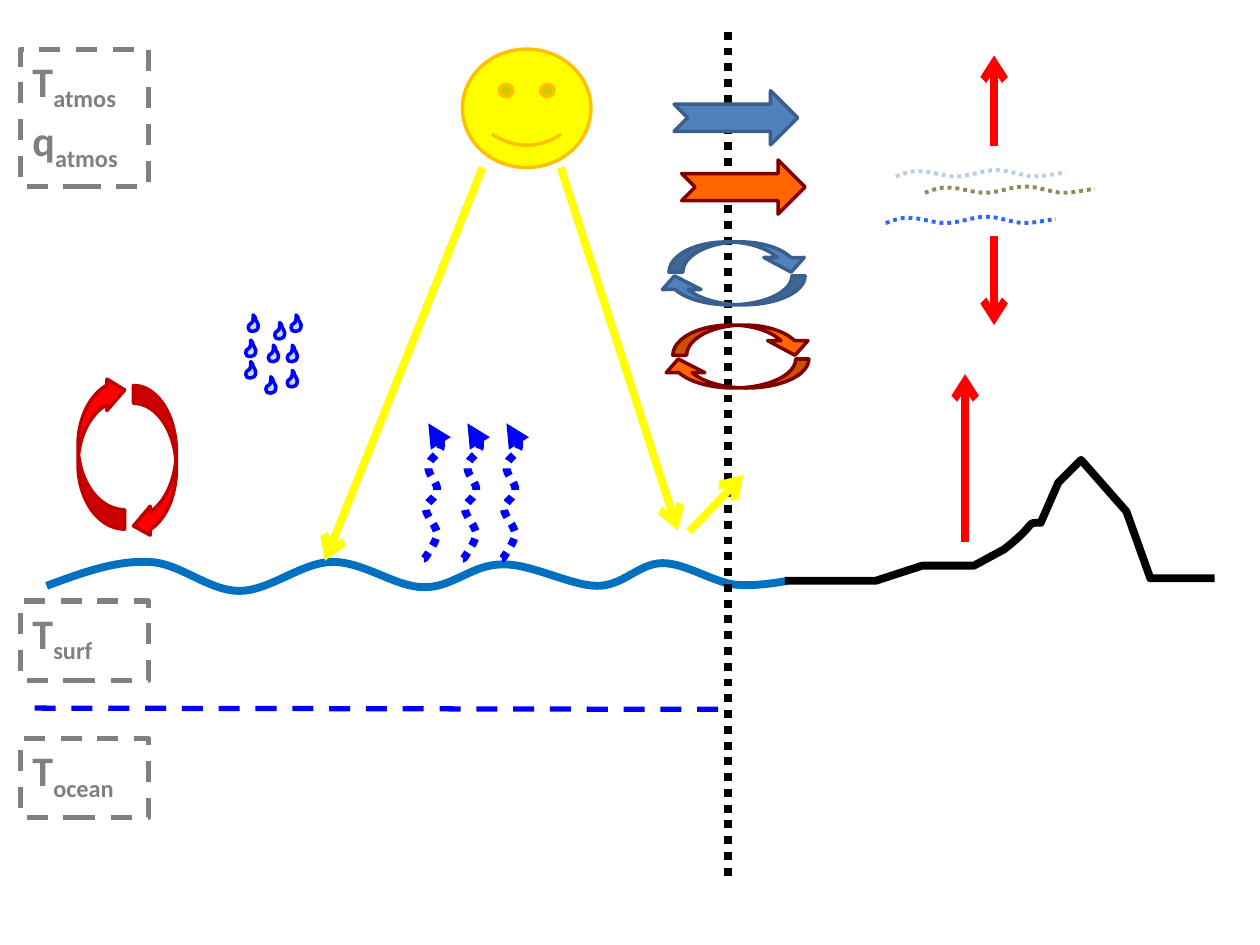
from lxml.etree import SubElement
from pptx import Presentation
from pptx.dml.color import RGBColor
from pptx.enum.shapes import MSO_CONNECTOR, MSO_SHAPE
from pptx.oxml.ns import qn
from pptx.util import Cm, Pt

BLUE, YELLOW, RED, GREY, BLACK = "0000FF", "FFFF00", "FF0000", "808080", "000000"
DROP_FILL = "C6D9F1"

# Outlines, in inches: a start point, then lines (2 numbers) or curves (6 numbers).
OCEAN = [(0.37, 4.65), (0.64, 4.55, 0.91, 4.45, 1.17, 4.46),
         (1.42, 4.46, 1.65, 4.69, 1.9, 4.69), (2.14, 4.69, 2.4, 4.46, 2.64, 4.46),
         (2.89, 4.46, 3.14, 4.66, 3.36, 4.66), (3.58, 4.67, 3.75, 4.48, 3.98, 4.48),
         (4.21, 4.47, 4.53, 4.65, 4.74, 4.65), (4.95, 4.65, 5.07, 4.47, 5.26, 4.47),
         (5.44, 4.47, 5.66, 4.62, 5.83, 4.64), (6, 4.66, 6.25, 4.61, 6.25, 4.61)]
LAND = [(6.23, 4.61), (6.95, 4.61), (7.32, 4.49), (7.73, 4.49), (7.97, 4.36),
        (8.25, 4.14, 8.13, 4.15, 8.26, 4.15), (8.4, 3.83), (8.58, 3.65),
        (8.94, 4.06), (9.13, 4.59), (9.64, 4.59)]
DROP = [(0.04, 0), (0.05, 0.01, 0.06, 0.02, 0.06, 0.04),
        (0.06, 0.05, 0.08, 0.06, 0.08, 0.08), (0.08, 0.12, 0.06, 0.13, 0.04, 0.13),
        (0.01, 0.13, 0, 0.12, 0, 0.1), (0, 0.06, 0.04, 0.08, 0.04, 0.03), (0.04, 0)]
VAPOUR = [(0.04, 0), (0.09, 0.06, 0.14, 0.12, 0.14, 0.18),
          (0.14, 0.24, 0.04, 0.28, 0.04, 0.34), (0.03, 0.4, 0.12, 0.48, 0.11, 0.53),
          (0.11, 0.59, 0.02, 0.62, 0.02, 0.68), (0.02, 0.73, 0.11, 0.82, 0.11, 0.88),
          (0.1, 0.95, 0.03, 1.04, 0.02, 1.06), (0, 1.09, 0, 1.07, 0.01, 1.05)]
HAZE = [(0, 0.05), (0.06, 0.03, 0.12, 0, 0.2, 0.01), (0.28, 0.01, 0.38, 0.05, 0.48, 0.05),
        (0.58, 0.05, 0.69, 0, 0.8, 0), (0.9, 0, 1.01, 0.05, 1.1, 0.05),
        (1.19, 0.05, 1.31, 0.02, 1.35, 0.02)]

DROP_SPOTS = [(2.18, 2.56), (2.28, 2.74), (2.31, 2.5), (2.28, 2.94), (2.13, 2.74),
              (2.11, 2.99), (1.97, 2.5), (1.95, 2.7), (1.95, 2.87)]
VAPOUR_SPOTS = [(3.36, 3.36), (3.67, 3.36), (3.98, 3.36)]
HAZE_SPOTS = [(7.11, 1.35, "B9CDE5"), (7.34, 1.48, "948A54"), (7.03, 1.72, "3366FF")]

# Start, end, colour, width, dash, arrowhead
BORDER = ((5.78, 6.95), (5.78, 0.24), BLACK, 4.5, "sysDot", None)
LINES = [((5.7, 5.63), (0.16, 5.62), BLUE, 3, "dash", None),
         ((3.83, 1.33), (2.58, 4.45), YELLOW, 4.5, None, "arrow"),
         ((4.45, 1.33), (5.38, 4.21), YELLOW, 4.5, None, "arrow"),
         ((5.47, 4.22), (5.9, 3.77), YELLOW, 4.5, None, "arrow"),
         ((7.66, 4.3), (7.66, 2.97), RED, 4.5, None, "arrow"),
         ((7.89, 1.87), (7.89, 2.58), RED, 4.5, None, "arrow"),
         ((7.89, 1.16), (7.89, 0.44), RED, 4.5, None, "arrow")]

# Arrow position, ring offset, fill, outline
TRANSPORTS = [((5.35, 0.72), (0, 0), "4F81BD", "3A5F8C"),
              ((5.41, 1.27), (0.03, 0.66), "FF6600", "800000")]

# Frame top, frame height, then (label top, symbol, subscript)
STATES = [(0.39, 1.09, [(0.39, "T", "atmos"), (0.86, "q", "atmos")]),
          (4.77, 0.63, [(4.77, "T", "surf")]),
          (5.86, 0.63, [(5.86, "T", "ocean")])]


def inch(value):
    """Turn inches into a length."""
    return Cm(value * 2.54)


def color(text):
    """Turn a hex string into a colour."""
    return RGBColor.from_string(text)


def style(shape, line, width, fill=None, dash=None, head=None, tail=None):
    """Set outline, fill, dash and arrowheads."""
    shape.line.color.rgb = color(line)
    shape.line.width = Pt(width)
    outline = shape.line._get_or_add_ln()
    for tag, key, value in (("a:prstDash", "val", dash), ("a:headEnd", "type", head),
                            ("a:tailEnd", "type", tail)):
        if value:
            SubElement(outline, qn(tag)).set(key, value)
    if hasattr(shape, "fill"):
        shape.shadow.inherit = False
        if fill:
            shape.fill.solid()
            shape.fill.fore_color.rgb = color(fill)
        else:
            shape.fill.background()


def add_outline(outline, spot=(0, 0), closed=False, **look):
    """Draw lines and curves, moved to a spot."""
    steps = [[(inch(x + spot[0]), inch(y + spot[1]))
              for x, y in zip(step[::2], step[1::2])] for step in outline]
    builder = page.shapes.build_freeform(*steps[0][0])
    builder.add_line_segments([point for step in steps[1:] for point in step], close=closed)
    shape = builder.convert_to_shape()
    segments = iter(list(shape._element.iter(qn("a:lnTo"))))
    for step in steps[1:]:
        parts = [next(segments) for _ in step]
        if len(parts) == 3:
            curve = parts[0].makeelement(qn("a:cubicBezTo"))
            parts[0].addprevious(curve)
            for part in parts:
                curve.append(part[0])
                part.getparent().remove(part)
    style(shape, **look)


def add_line(start, end, line, width, dash, tail):
    """Draw a straight line or arrow."""
    connector = page.shapes.add_connector(
        MSO_CONNECTOR.STRAIGHT, *(inch(value) for value in start + end))
    style(connector, line, width, dash=dash, tail=tail)
    SubElement(connector._element.spPr, qn("a:effectLst"))


def add_figure(kind, place, line, width=2, fill=None, dash=None, adjust=(), turned=False):
    """Draw a preset shape, flipped both ways when turned."""
    shape = page.shapes.add_shape(kind, *(inch(value) for value in place))
    for index, value in enumerate(adjust):
        shape.adjustments[index] = value
    if turned:
        for name in ("flipH", "flipV"):
            shape._element.spPr.xfrm.set(name, "1")
    style(shape, line, width, fill, dash)


def add_label(top, symbol, subscript):
    """Write a symbol with its subscript."""
    box = page.shapes.add_textbox(inch(0.16), inch(top), inch(1.2), inch(0.5))
    box.text_frame.word_wrap = True
    para = box.text_frame.paragraphs[0]
    for text in (symbol, subscript):
        span = para.add_run()
        span.text = text
        span.font.name, span.font.size, span.font.bold = "Calibri", Pt(24), True
        span.font.color.rgb = color(GREY)
    span.font._element.set("baseline", "-25000")


deck = Presentation()
deck.slide_width, deck.slide_height = inch(10), inch(7.5)
page = deck.slides.add_slide(deck.slide_layouts[6])

add_outline(OCEAN, line="0070C0", width=4.5)
add_line(*BORDER)
for (left, top), (right, down), fill, line in TRANSPORTS:
    add_figure(MSO_SHAPE.CURVED_DOWN_ARROW, (5.31 + right, 1.92 + down, 1.13, 0.24),
               line, fill=fill, adjust=(0.457, 1.333, 0.482))
    add_figure(MSO_SHAPE.CURVED_DOWN_ARROW, (5.2 + right, 2.19 + down, 1.19, 0.23),
               line, fill=fill, adjust=(0.457, 1.333, 0.47), turned=True)
    add_figure(MSO_SHAPE.NOTCHED_RIGHT_ARROW, (left, top, 0.98, 0.43), line, fill=fill)
for spot in DROP_SPOTS:
    add_outline(DROP, spot, closed=True, line=BLUE, width=2, fill=DROP_FILL)
for spot in VAPOUR_SPOTS:
    add_outline(VAPOUR, spot, line=BLUE, width=4.5, dash="sysDot", head="triangle")
add_outline(LAND, line=BLACK, width=4.5)
for item in LINES:
    add_line(*item)
for top, height, labels in STATES:
    for label in labels:
        add_label(*label)
    add_figure(MSO_SHAPE.RECTANGLE, (0.16, top, 1.02, height), GREY, 3, dash="dash")
add_figure(MSO_SHAPE.CURVED_LEFT_ARROW, (0.62, 2.97, 0.37, 1.23), "C00000",
           fill=RED, adjust=(0.415, 0.677, 0.381), turned=True)
add_figure(MSO_SHAPE.CURVED_LEFT_ARROW, (1.06, 3.06, 0.34, 1.23), "C00000",
           fill=RED, adjust=(0.415, 0.677, 0.391))
add_figure(MSO_SHAPE.SMILEY_FACE, (3.67, 0.39, 1.02, 0.94), "FFC000", fill=YELLOW)
for left, top, line in HAZE_SPOTS:
    add_outline(HAZE, (left, top), line=line, width=2.25, dash="sysDot")

deck.save("out.pptx")
